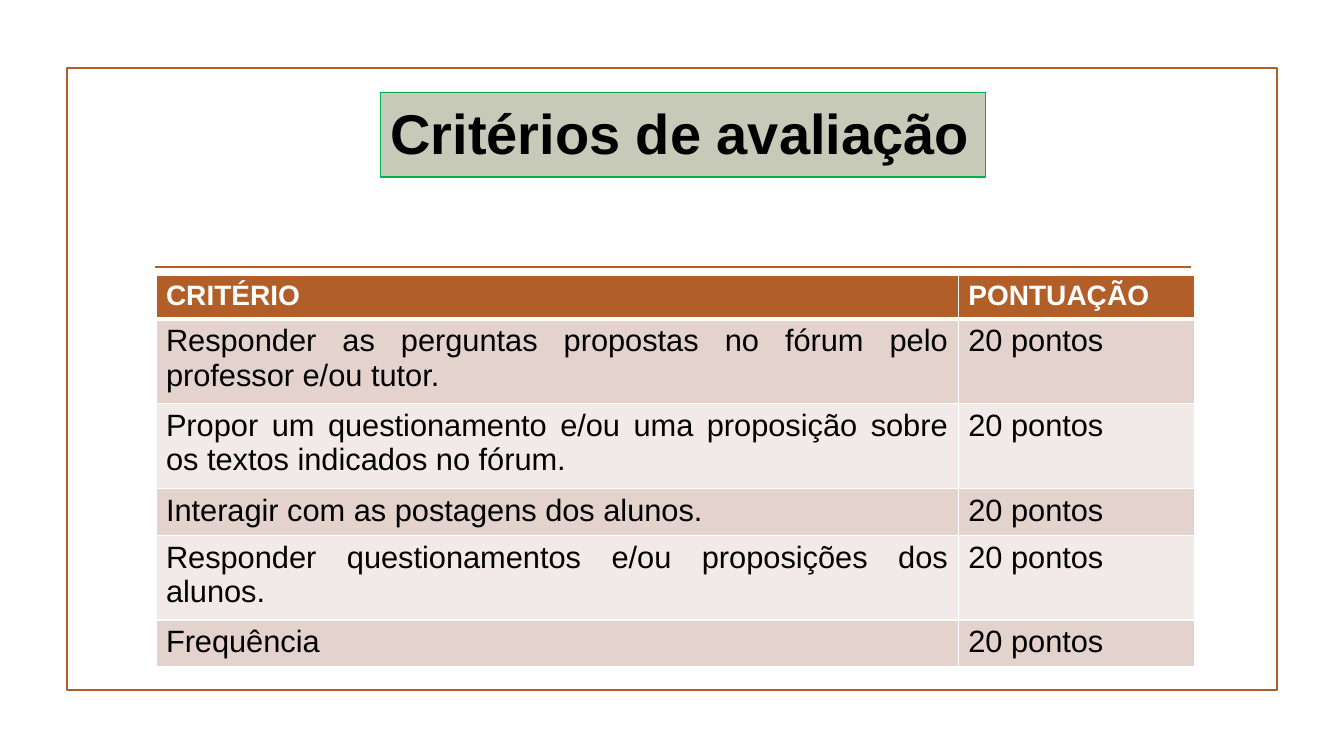
"""Build the assessment criteria slide."""
import pptx
import pptx.dml.color
import pptx.enum.shapes
import pptx.enum.text
import pptx.oxml
import pptx.oxml.ns
import pptx.util

WIDTH = pptx.util.Inches(13.33)
HEIGHT = pptx.util.Inches(7.5)
RUST = "B15E28"
WHITE = "FFFFFF"
BLACK = "000000"
BANDS = ("E4D2CD", "F2EAE8")
HEADINGS = ("CRITÉRIO", "PONTUAÇÃO")
HEADING_HEIGHT, SINGLE, DOUBLE = 5.7, 6.1, 11.2
SCORE = "20 pontos"
CRITERIA = (
    ("Responder as perguntas propostas no fórum pelo professor e/ou tutor.", DOUBLE),
    ("Propor um questionamento e/ou uma proposição sobre os textos indicados no fórum.", DOUBLE),
    ("Interagir com as postagens dos alunos.", SINGLE),
    ("Responder questionamentos e/ou proposições dos alunos.", DOUBLE),
    ("Frequência", SINGLE),
)


def across(percent):
    return round(WIDTH * percent / 100)


def down(percent):
    return round(HEIGHT * percent / 100)


def paint(color_format, color):
    color_format.rgb = pptx.dml.color.RGBColor.from_string(color)


def fill_with(target, color):
    target.fill.solid()
    paint(target.fill.fore_color, color)


def outline(shape, color, points):
    paint(shape.line.color, color)
    shape.line.width = pptx.util.Pt(points)


def style_text(text_frame, size, color, bold, alignment):
    for paragraph in text_frame.paragraphs:
        paragraph.alignment = alignment
        for run in paragraph.runs:
            run.font.name = "Arial"
            run.font.size = pptx.util.Pt(size)
            run.font.bold = bold
            paint(run.font.color, color)


def add_frame(slide):
    frame = slide.shapes.add_shape(
        pptx.enum.shapes.MSO_SHAPE.RECTANGLE, across(5), down(9), across(90), down(82.3))
    frame.shadow.inherit = False
    frame.fill.background()
    outline(frame, RUST, 1.25)


def add_rule(slide):
    rule = slide.shapes.add_connector(
        pptx.enum.shapes.MSO_CONNECTOR.STRAIGHT,
        across(11.5), down(35.3), across(88.6), down(35.3))
    outline(rule, RUST, 1.25)
    rule.element.spPr.append(pptx.oxml.parse_xml(
        f"<a:effectLst {pptx.oxml.ns.nsdecls('a')}/>"))


def place_title(slide):
    title = slide.shapes.title
    slide.shapes.element.append(title.element)
    title.left, title.top = across(28.3), down(12.3)
    title.width, title.height = across(45), down(10.3)
    fill_with(title, "C7CAB8")
    outline(title, "00B050", 0.75)
    text_frame = title.text_frame
    text_frame.text = "Critérios de avaliação"
    text_frame.word_wrap = False
    text_frame.auto_size = pptx.enum.text.MSO_AUTO_SIZE.SHAPE_TO_FIT_TEXT
    text_frame.vertical_anchor = pptx.enum.text.MSO_ANCHOR.TOP
    style_text(text_frame, 40, BLACK, True, pptx.enum.text.PP_ALIGN.LEFT)


def set_borders(cell, top, bottom):
    properties = cell._tc.get_or_add_tcPr()
    for index, (side, points) in enumerate((("L", 1), ("R", 1), ("T", top), ("B", bottom))):
        properties.insert(index, pptx.oxml.parse_xml(
            f"<a:ln{side} {pptx.oxml.ns.nsdecls('a')} w='{pptx.util.Pt(points)}'>"
            f"<a:solidFill><a:srgbClr val='{WHITE}'/></a:solidFill></a:ln{side}>"))


def add_criteria_table(slide):
    rows = [(HEADINGS, HEADING_HEIGHT)]
    rows += [((criterion, SCORE), height) for criterion, height in CRITERIA]
    widths = (59.7, 17.6)
    table = slide.shapes.add_table(
        len(rows), len(widths), across(11.6), down(36.4),
        across(sum(widths)), down(sum(height for _, height in rows))).table
    for column, width in zip(table.columns, widths):
        column.width = across(width)
    for row_index, (texts, height) in enumerate(rows):
        table.rows[row_index].height = down(height)
        heading = row_index == 0
        for cell, text in zip(table.rows[row_index].cells, texts):
            cell.text_frame.text = text
            fill_with(cell, RUST if heading else BANDS[(row_index - 1) % 2])
            set_borders(cell, 3 if row_index == 1 else 1, 3 if heading else 1)
            if heading:
                style_text(cell.text_frame, 20, WHITE, True, pptx.enum.text.PP_ALIGN.LEFT)
            else:
                style_text(cell.text_frame, 22, BLACK, False, pptx.enum.text.PP_ALIGN.JUSTIFY)


def main():
    presentation = pptx.Presentation()
    presentation.slide_width, presentation.slide_height = WIDTH, HEIGHT
    slide = presentation.slides.add_slide(presentation.slide_layouts.get_by_name("Title Only"))
    add_frame(slide)
    add_rule(slide)
    place_title(slide)
    add_criteria_table(slide)
    presentation.save("out.pptx")


if __name__ == "__main__":
    main()
